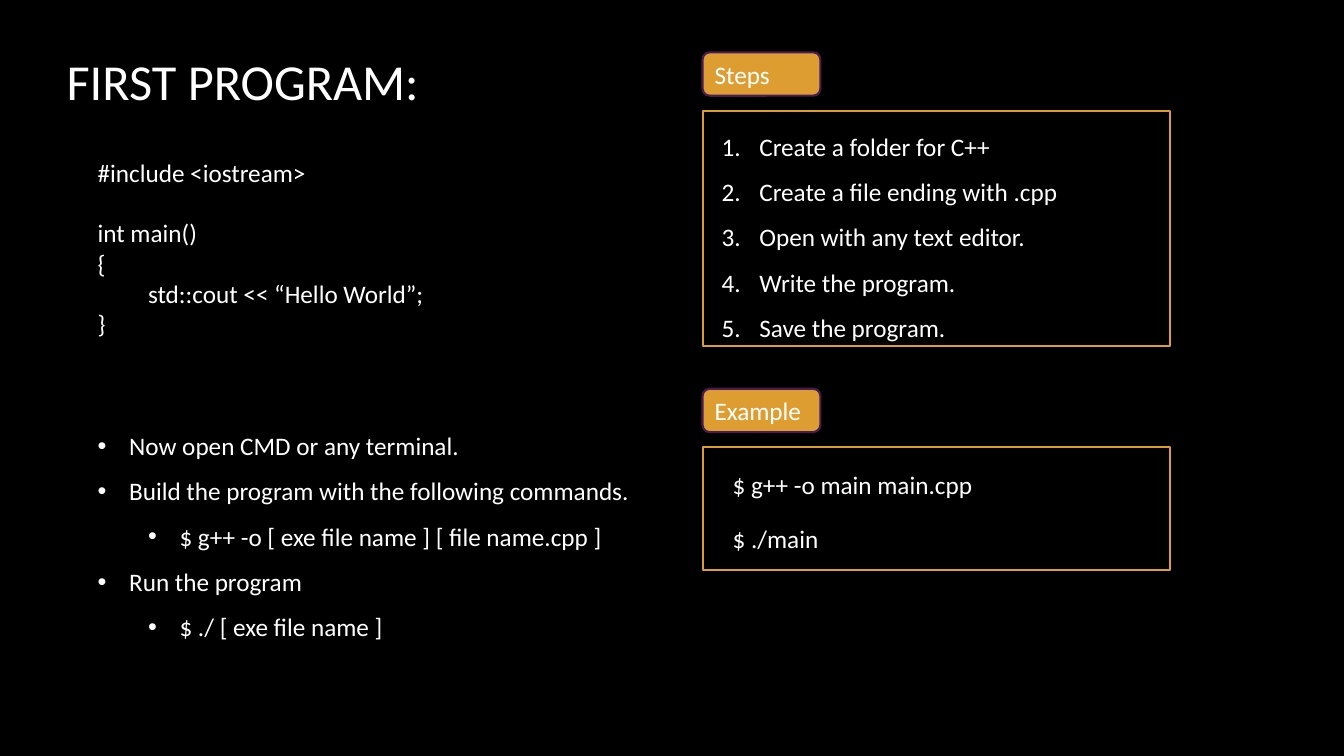
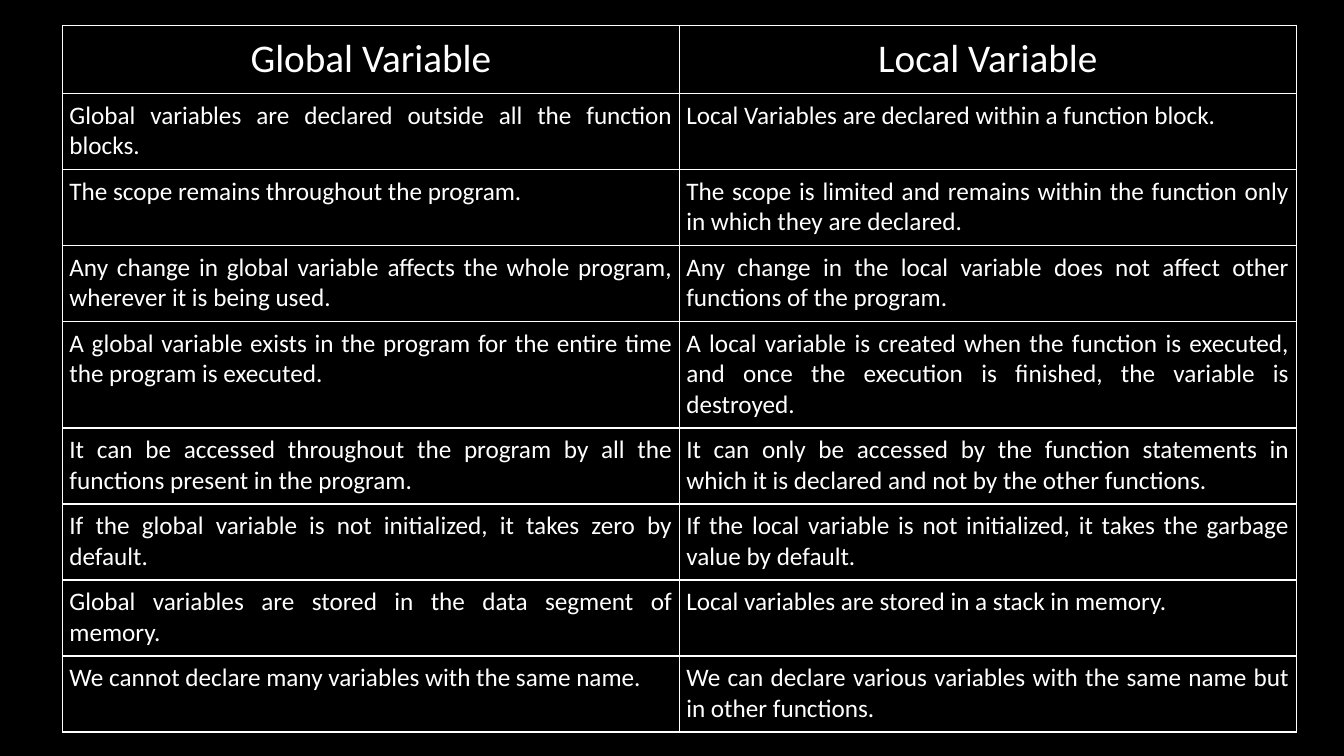
from lxml import etree
from pptx import Presentation, util as u
from pptx.dml.color import RGBColor
from pptx.enum import shapes, text
from pptx.oxml import ns

Pt = u.Pt
FONT = "Calibri"
COLORS = {"back": "000000", "text": "FFFFFF", "gold": "DD9D31", "plum": "4B1B55"}
LEFT, RIGHT = 62.64, 501.84
PANEL_WIDTH = 334

CODE = ["#include <iostream>", "int main()", "{", "std::cout << “Hello World”;", "}"]
STEPS = ["Create a folder for C++", "Create a file ending with .cpp",
         "Open with any text editor.", "Write the program.", "Save the program."]
# Level and wording of each instruction
INSTRUCTIONS = [
    (0, "Now open CMD or any terminal."),
    (0, "Build the program with the following commands."),
    (1, "$ g++ -o [ exe file name ] [ file name.cpp ]"),
    (0, "Run the program"),
    (1, "$ ./ [ exe file name ]"),
]
COMMANDS = ["$ g++ -o main main.cpp", "$ ./main"]
COMPARISON = [
    ("Global Variable", "Local Variable"),
    ("Global variables are declared outside all the function blocks.",
     "Local Variables are declared within a function block."),
    ("The scope remains throughout the program.",
     "The scope is limited and remains within the function only in which they are declared."),
    ("Any change in global variable affects the whole program, wherever it is being used.",
     "Any change in the local variable does not affect other functions of the program."),
    ("A global variable exists in the program for the entire time the program is executed.",
     "A local variable is created when the function is executed, and once the execution "
     "is finished, the variable is destroyed."),
    ("It can be accessed throughout the program by all the functions present in the program.",
     "It can only be accessed by the function statements in which it is declared and not "
     "by the other functions."),
    ("If the global variable is not initialized, it takes zero by default.",
     "If the local variable is not initialized, it takes the garbage value by default."),
    ("Global variables are stored in the data segment of memory.",
     "Local variables are stored in a stack in memory."),
    ("We cannot declare many variables with the same name.",
     "We can declare various variables with the same name but in other functions."),
]
ROW_HEIGHTS = [48.6] + [54.3] * 3 + [76.3] + [54.3] * 4


def color(name):
    return RGBColor.from_string(COLORS[name])


def style(paragraph, size=18, align=text.PP_ALIGN.LEFT):
    paragraph.alignment = align
    paragraph.font.name = FONT
    paragraph.font.size = Pt(size)
    paragraph.font.color.rgb = color("text")


def indent(paragraph, margin, first=0, bullet=None):
    """Set the indents; bullet is a (tag, attribute, value) triple."""
    properties = paragraph._p.get_or_add_pPr()
    properties.set("marL", str(Pt(margin)))
    properties.set("indent", str(Pt(first)))
    if bullet:
        tag, attribute, value = bullet
        etree.SubElement(properties, ns.qn("a:buFont"), typeface="Arial" if tag == "a:buChar" else "+mj-lt")
        etree.SubElement(properties, ns.qn(tag), {attribute: value})


def write_lines(frame, lines):
    """Write one paragraph per line and return the paragraphs."""
    frame.word_wrap = True
    frame.text = "\n".join(lines)
    return frame.paragraphs


def add_text(slide, left, top, width, height, lines, spacing=1.5):
    box = slide.shapes.add_textbox(Pt(left), Pt(top), Pt(width), Pt(height))
    paragraphs = write_lines(box.text_frame, lines)
    for paragraph in paragraphs:
        paragraph.line_spacing = spacing
    return paragraphs


def add_box(slide, kind, left, top, width, height, fill=None, line=None):
    shape = slide.shapes.add_shape(kind, Pt(left), Pt(top), Pt(width), Pt(height))
    shape.shadow.inherit = False
    if fill:
        shape.fill.solid()
        shape.fill.fore_color.rgb = color(fill)
    else:
        shape.fill.background()
    if line:
        shape.line.color.rgb = color(line)
        shape.line.width = Pt(1.5)
    else:
        shape.line.fill.background()
    return shape


def add_panel(slide, label, top, height):
    """A gold tag above an outlined box."""
    tag = add_box(slide, shapes.MSO_SHAPE.ROUNDED_RECTANGLE, RIGHT, top, 84.2, 31,
                  "gold", "plum")
    tag.text_frame.vertical_anchor = text.MSO_ANCHOR.MIDDLE
    style(write_lines(tag.text_frame, [label])[0])
    add_box(slide, shapes.MSO_SHAPE.RECTANGLE, RIGHT, top + 41.8, PANEL_WIDTH, height,
            line="gold")


def add_title(slide, wording):
    title = slide.shapes.title
    title.left, title.top, title.width, title.height = Pt(40.3), Pt(0), Pt(334), Pt(114.5)
    title.text_frame.auto_size = text.MSO_AUTO_SIZE.NONE
    title.text_frame.vertical_anchor = text.MSO_ANCHOR.MIDDLE
    style(write_lines(title.text_frame, [wording])[0], 36)


def format_cell(cell, wording, size, inset, align):
    cell.margin_left = cell.margin_right = cell.margin_top = cell.margin_bottom = Pt(inset)
    cell.text = wording
    style(cell.text_frame.paragraphs[0], size, align)
    # Borders go before the fill
    properties = cell._tc.get_or_add_tcPr()
    for side in ("lnL", "lnR", "lnT", "lnB"):
        border = etree.SubElement(properties, ns.qn("a:" + side), w=str(Pt(1)))
        fill = etree.SubElement(border, ns.qn("a:solidFill"))
        etree.SubElement(fill, ns.qn("a:srgbClr"), val=COLORS["text"])
    cell.fill.background()


def add_comparison(slide, left, top, width):
    table = slide.shapes.add_table(len(COMPARISON), 2, Pt(left), Pt(top), Pt(width),
                                   Pt(sum(ROW_HEIGHTS))).table
    table.first_row = table.horz_banding = False
    for index, (row, wordings) in enumerate(zip(table.rows, COMPARISON)):
        row.height = Pt(ROW_HEIGHTS[index])
        look = (18, 5, text.PP_ALIGN.JUSTIFY) if index else (28, 7.2, text.PP_ALIGN.CENTER)
        for cell, wording in zip(row.cells, wordings):
            format_cell(cell, wording, *look)


def build_first_program(slide):
    add_title(slide, "FIRST PROGRAM:")

    # Program listing
    listing = add_box(slide, shapes.MSO_SHAPE.RECTANGLE, LEFT, 108.7, 384, 138.2, "back")
    listing.text_frame.vertical_anchor = text.MSO_ANCHOR.TOP
    paragraphs = write_lines(listing.text_frame, CODE)
    for paragraph in paragraphs:
        style(paragraph)
    paragraphs[1].space_before = Pt(21.6)
    indent(paragraphs[3], 36)

    # Steps
    add_panel(slide, "Steps", 37.4, 167.8)
    for paragraph in add_text(slide, 508.3, 79.2, 320.4, 167.8, STEPS):
        indent(paragraph, 27, -27, ("a:buAutoNum", "type", "arabicPeriod"))
        style(paragraph)

    # Build instructions
    paragraphs = add_text(slide, LEFT, 293, 411, 167.8, [line for _, line in INSTRUCTIONS])
    for paragraph, (level, _) in zip(paragraphs, INSTRUCTIONS):
        paragraph.level = level
        indent(paragraph, 22.5 + 36 * level, -22.5, ("a:buChar", "char", "•"))
        style(paragraph)

    # Example
    add_panel(slide, "Example", 277.7, 88)
    for index, command in enumerate(COMMANDS):
        paragraph = add_text(slide, 480.2, 321 + 38.4 * index, 222.5, 36.7, [command])[0]
        indent(paragraph, 36)
        style(paragraph)


def main():
    presentation = Presentation()
    presentation.slide_width, presentation.slide_height = Pt(960), Pt(540)
    background = presentation.slide_master.background.fill
    background.solid()
    background.fore_color.rgb = color("back")

    title_only, blank = presentation.slide_layouts[5], presentation.slide_layouts[6]
    build_first_program(presentation.slides.add_slide(title_only))
    add_comparison(presentation.slides.add_slide(blank), 44.6, 18, 881.3)
    presentation.save("out.pptx")


if __name__ == "__main__":
    main()
